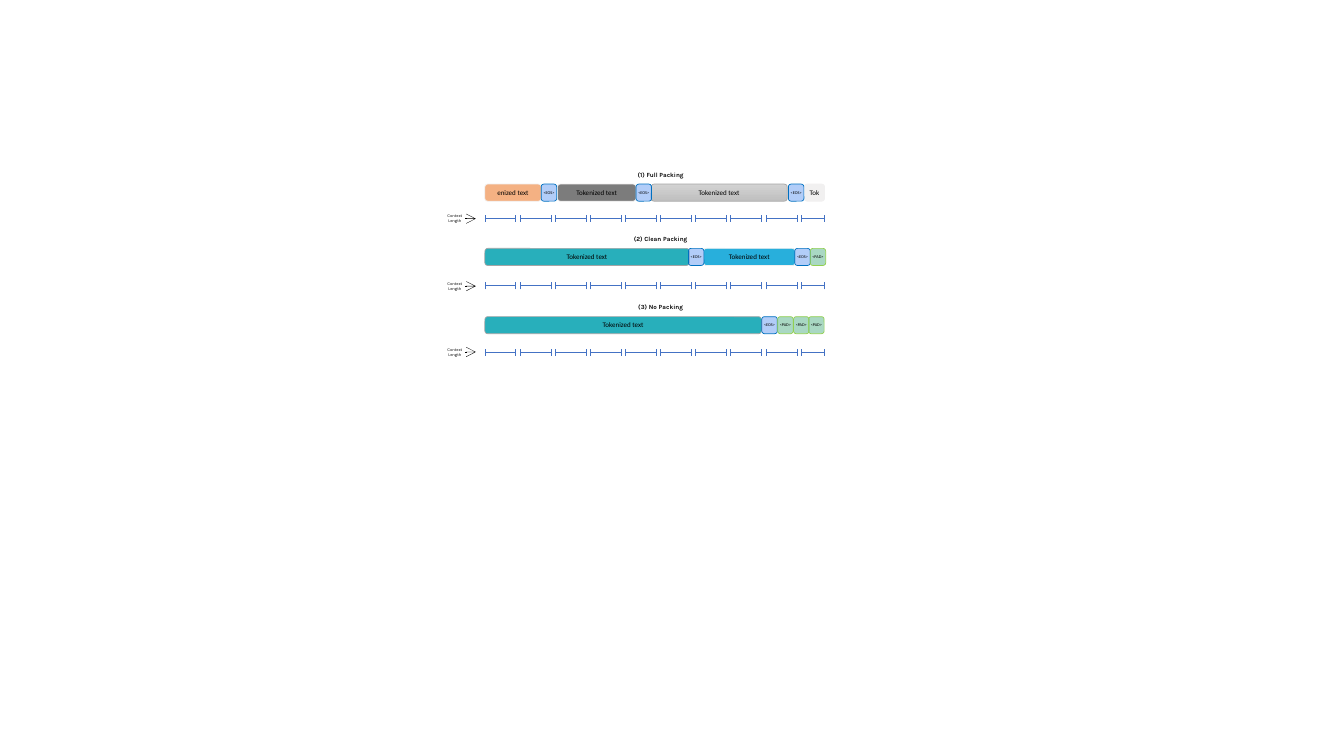
import pptx
import pptx.dml.color
import pptx.enum.shapes
import pptx.enum.text
import pptx.oxml.ns
import pptx.util
from pptx.util import Cm

COLORS = {
    "teal": "28AFBB", "blue": "28AFDC", "orange": "F4B183", "dark": "7C7C7C",
    "silver_top": "D2D2D2", "silver_bottom": "C0C0C0", "light": "F1F0F0",
    "outline": "A5A5A5", "eos": "5994F0", "eos_line": "0070C0",
    "pad": "54B388", "pad_line": "92D050", "ruler": "4472C4", "ink": "000000",
}

# Block styles: fill, outline, opacity in percent, text size
BLOCKS = {
    "teal": ("teal", "outline", 100, 5),
    "blue": ("blue", "light", 100, 5),
    "orange": ("orange", "light", 100, 5),
    "dark": ("dark", "light", 100, 5),
    "silver": (("silver_top", "silver_bottom"), "outline", 100, 5),
    "light": ("light", "light", 100, 5),
    "eos": ("eos", "eos_line", 46, 3),
    "pad": ("pad", "pad_line", 50, 3),
}
BLOCK_HEIGHT = 0.43
TOKEN_WIDTH = 0.39


def rgb(name):
    return pptx.dml.color.RGBColor.from_string(COLORS[name])


def add_xml(parent, tag, **attributes):
    parent.append(parent.makeelement(pptx.oxml.ns.qn(tag), attributes))


class PackingSlide:
    def __init__(self, presentation):
        self.slide = presentation.slides.add_slide(presentation.slide_layouts[6])
        self.shapes = self.slide.shapes

    def start_group(self):
        self.shapes = self.slide.shapes.add_group_shape().shapes

    def set_text(self, shape, text, size, font, bold=False, inset=0.0):
        frame = shape.text_frame
        frame.word_wrap = True
        frame.margin_left = frame.margin_right = Cm(inset)
        paragraph = frame.paragraphs[0]
        paragraph.text = text
        paragraph.alignment = pptx.enum.text.PP_ALIGN.CENTER
        paragraph.font.size = pptx.util.Pt(size)
        paragraph.font.name = font
        paragraph.font.bold = bold
        paragraph.font.color.rgb = rgb("ink")
        return frame

    def label(self, left, top, width, height, text, size, bold=False):
        box = self.shapes.add_textbox(Cm(left), Cm(top), Cm(width), Cm(height))
        frame = self.set_text(box, text, size, "Karla", bold, inset=0.2)
        frame.auto_size = pptx.enum.text.MSO_AUTO_SIZE.SHAPE_TO_FIT_TEXT

    def block(self, style, left, top, width, text):
        fill, outline, opacity, size = BLOCKS[style]
        shape = self.shapes.add_shape(
            pptx.enum.shapes.MSO_SHAPE.ROUNDED_RECTANGLE,
            Cm(left), Cm(top), Cm(width), Cm(BLOCK_HEIGHT))
        shape.shadow.inherit = False
        if isinstance(fill, tuple):
            shape.fill.gradient()
            shape.fill.gradient_angle = 270
            for stop, name in zip(shape.fill.gradient_stops, fill):
                stop.color.rgb = rgb(name)
        else:
            shape.fill.solid()
            shape.fill.fore_color.rgb = rgb(fill)
        if opacity < 100:
            color = shape.element.spPr.find(".//" + pptx.oxml.ns.qn("a:srgbClr"))
            add_xml(color, "a:alpha", val=str(opacity * 1000))
        shape.line.color.rgb = rgb(outline)
        shape.line.width = pptx.util.Pt(0.5)
        frame = self.set_text(shape, text, size, "Calibri")
        frame.margin_top = frame.margin_bottom = 0
        frame.vertical_anchor = pptx.enum.text.MSO_ANCHOR.MIDDLE

    def line(self, x1, y1, x2, y2, color="ruler", width=0.5, arrow=False):
        connector = self.shapes.add_connector(
            pptx.enum.shapes.MSO_CONNECTOR.STRAIGHT, Cm(x1), Cm(y1), Cm(x2), Cm(y2))
        connector.line.color.rgb = rgb(color)
        connector.line.width = pptx.util.Pt(width)
        properties = connector.element.spPr
        if arrow:
            add_xml(properties.find(pptx.oxml.ns.qn("a:ln")), "a:tailEnd", type="arrow")
        add_xml(properties, "a:effectLst")

    def ruler(self, y):
        first, last, end, count = 12.22, 20.19, 20.78, 10
        pitch = (last - first) / (count - 1)
        for index in range(count):
            start = first + index * pitch
            stop = min(start + 0.78, end)
            self.line(start, y, stop, y)
            for tick in (start, stop):
                self.line(tick, y + 0.09, tick, y - 0.09)


# Rows: heading, its top, block top, ruler height, context label top, blocks
EOS, PAD = "<EOS>", "<PAD>"
ROWS = [
    ("(1) Full Packing", 4.19, 4.64, 5.5, 5.26, [
        ("silver", 16.41, 3.43, "Tokenized text"),
        ("light", 20.27, 0.51, "Tok"),
        ("orange", 12.22, 1.42, "enized text"),
        ("dark", 14.05, 1.98, "Tokenized text"),
        ("eos", 13.64, TOKEN_WIDTH, EOS),
        ("eos", 16.03, TOKEN_WIDTH, EOS),
        ("eos", 19.87, TOKEN_WIDTH, EOS)]),
    ("(2) Clean Packing", 5.79, 6.26, 7.2, 6.96, [
        ("teal", 12.22, 5.15, "Tokenized text"),
        ("blue", 17.73, 2.31, "Tokenized text"),
        ("eos", 17.35, TOKEN_WIDTH, EOS),
        ("eos", 20.03, TOKEN_WIDTH, EOS),
        ("pad", 20.42, TOKEN_WIDTH, PAD)]),
    ("(3) No Packing", 7.52, 7.98, 8.88, 8.62, [
        ("teal", 12.22, 6.97, "Tokenized text"),
        ("eos", 19.2, TOKEN_WIDTH, EOS),
        ("pad", 19.6, TOKEN_WIDTH, PAD),
        ("pad", 20.0, TOKEN_WIDTH, PAD),
        ("pad", 20.38, TOKEN_WIDTH, PAD)]),
]

presentation = pptx.Presentation()
presentation.slide_width = Cm(33.87)
presentation.slide_height = Cm(19.05)
packing = PackingSlide(presentation)

for heading, heading_top, block_top, ruler_y, context_top, blocks in ROWS:
    packing.start_group()
    # Heading and token sequence
    packing.label(15.52, heading_top, 2.26, 0.46, heading, 4.5, bold=True)
    for style, left, width, text in blocks:
        packing.block(style, left, block_top, width, text)
    # Context windows
    packing.ruler(ruler_y)
    packing.label(11.02, context_top, 0.89, 0.51, "Context Length", 3)
    arrow_y = context_top + 0.25
    packing.line(11.73, arrow_y, 11.99, arrow_y, "ink", 0.25, arrow=True)

presentation.save("out.pptx")
